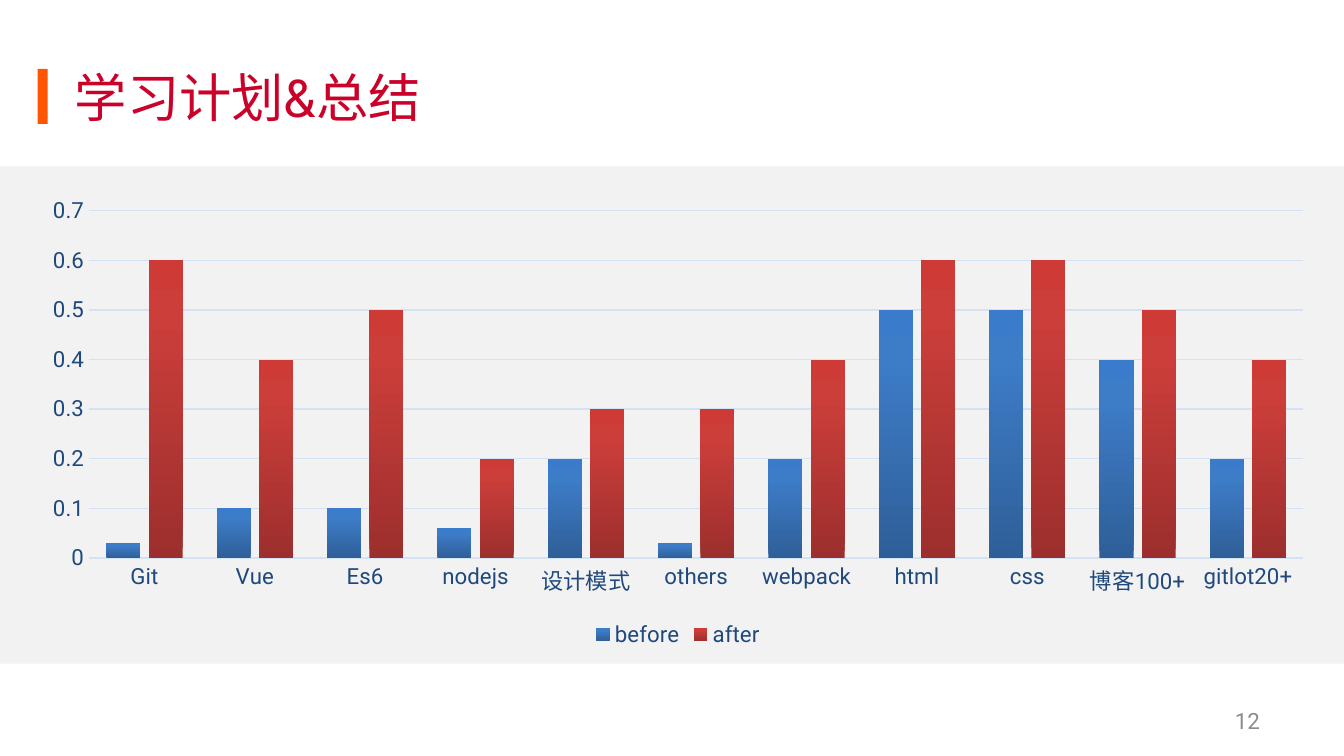
"""Build the study plan and summary slide with its before/after chart."""
from dataclasses import dataclass

from lxml import etree
from pptx import Presentation
from pptx import util as u
from pptx.chart import data as chart_data
from pptx.dml.color import RGBColor
from pptx.enum import chart as charts, shapes, text
from pptx.oxml.ns import qn


@dataclass(frozen=True)
class Theme:
    """Colours, font and type sizes of the slide."""
    font: str = "Roboto"
    band: str = "F2F2F2"
    accent: str = "FF5400"
    title: str = "CA022A"
    number: str = "8C8C8C"
    label: str = "1F497D"
    grid: str = "D4E3F4"
    title_size: float = 28
    number_size: float = 12
    label_size: float = 11.9


@dataclass(frozen=True)
class Area:
    """A rectangle given as percentages of the slide's width and height."""
    left: float
    top: float
    width: float
    height: float

    def frame(self) -> tuple:
        """Return the rectangle in slide lengths."""
        return (int(self.left * WIDTH / 100), int(self.top * HEIGHT / 100),
                int(self.width * WIDTH / 100), int(self.height * HEIGHT / 100))


@dataclass(frozen=True)
class Block:
    """A plain coloured rectangle."""
    area: Area
    color: str


@dataclass(frozen=True)
class Label:
    """A line of text in its own box."""
    area: Area
    words: str
    size: float
    color: str


@dataclass(frozen=True)
class Series:
    """A chart series with the stops of its gradient, bottom to top."""
    name: str
    values: tuple
    stops: tuple


THEME = Theme()
WIDTH = u.Inches(10)
HEIGHT = WIDTH * 9 // 16
STOP_POSITIONS = (0, 80, 100)
BAND = Block(Area(0, 22, 100, 65.8), THEME.band)
ACCENT = Block(Area(2.8, 9.1, 0.75, 7.3), THEME.accent)
LABELS = (
    Label(Area(4.6, 4.4, 90, 16.7), "学习计划&总结", THEME.title_size, THEME.title),
    Label(Area(90.9, 92.7, 23.3, 5.3), "12", THEME.number_size, THEME.number),
)
CHART_AREA = Area(2, 24.9, 96.9, 61.5)
CATEGORIES = ("Git", "Vue", "Es6", "nodejs", "设计模式", "others", "webpack",
              "html", "css", "博客100+", "gitlot20+")
SERIES = (
    Series("before", (0.03, 0.1, 0.1, 0.06, 0.2, 0.03, 0.2, 0.5, 0.5, 0.4, 0.2),
           ("2F5F99", "3D7CC7", "3A7CCB")),
    Series("after", (0.6, 0.4, 0.5, 0.2, 0.3, 0.3, 0.4, 0.6, 0.6, 0.5, 0.4),
           ("9C2F2D", "CB3E3A", "CE3B37")),
)


def assign(target, **values) -> None:
    """Set every named attribute on the target."""
    for name, value in values.items():
        setattr(target, name, value)


def style_font(font, size: float, color: str) -> None:
    """Apply the theme font with a size and colour."""
    assign(font, name=THEME.font, size=u.Pt(size))
    font.color.rgb = RGBColor.from_string(color)


def style_line(line, color: str) -> None:
    """Draw a thin line in one colour."""
    line.width = u.Pt(0.75)
    line.color.rgb = RGBColor.from_string(color)


def draw_block(page, block: Block) -> None:
    """Draw a rectangle without outline or shadow."""
    shape = page.shapes.add_shape(shapes.MSO_SHAPE.RECTANGLE, *block.area.frame())
    shape.shadow.inherit = False
    shape.fill.solid()
    shape.fill.fore_color.rgb = RGBColor.from_string(block.color)
    shape.line.fill.background()


def draw_label(page, label: Label) -> None:
    """Draw a vertically centred line of text."""
    box = page.shapes.add_textbox(*label.area.frame())
    assign(box.text_frame, word_wrap=True, vertical_anchor=text.MSO_ANCHOR.MIDDLE)
    span = box.text_frame.paragraphs[0].add_run()
    span.text = label.words
    style_font(span.font, label.size, label.color)


def fill_gradients(chart) -> None:
    """Fill every series with its upward gradient."""
    for bars in chart.plots[0].series:
        bars.format.fill.gradient()
        bars.format.fill.gradient_angle = 90
    for stop_list, series in zip(list(chart.element.iter(qn("a:gsLst"))), SERIES):
        for stop in list(stop_list):
            stop_list.remove(stop)
        for position, color in zip(STOP_POSITIONS, series.stops):
            stop = etree.SubElement(stop_list, qn("a:gs"), pos=str(position * 1000))
            etree.SubElement(stop, qn("a:srgbClr"), val=color)


def draw_chart(page) -> None:
    """Draw the clustered column chart."""
    table = chart_data.CategoryChartData()
    table.categories = CATEGORIES
    for series in SERIES:
        table.add_series(series.name, series.values)
    chart = page.shapes.add_chart(charts.XL_CHART_TYPE.COLUMN_CLUSTERED,
                                  *CHART_AREA.frame(), table).chart
    assign(chart, has_title=False, has_legend=True)
    assign(chart.legend, position=charts.XL_LEGEND_POSITION.BOTTOM, include_in_layout=False)
    assign(chart.plots[0], gap_width=100, overlap=-24, vary_by_categories=False)
    fill_gradients(chart)
    for axis in (chart.category_axis, chart.value_axis):
        assign(axis, major_tick_mark=charts.XL_TICK_MARK.NONE,
               minor_tick_mark=charts.XL_TICK_MARK.NONE)
        assign(axis.tick_labels, number_format="General", number_format_is_linked=False)
    for part in (chart, chart.legend, chart.category_axis.tick_labels,
                 chart.value_axis.tick_labels):
        style_font(part.font, THEME.label_size, THEME.label)
    assign(chart.value_axis, minimum_scale=0, maximum_scale=0.7, major_unit=0.1,
           has_major_gridlines=True)
    chart.value_axis.format.line.fill.background()
    style_line(chart.value_axis.major_gridlines.format.line, THEME.grid)
    style_line(chart.category_axis.format.line, THEME.grid)


def main() -> None:
    """Assemble and save the deck."""
    deck = Presentation()
    assign(deck, slide_width=WIDTH, slide_height=HEIGHT)
    page = deck.slides.add_slide(deck.slide_layouts[6])
    draw_block(page, BAND)
    for label in LABELS:
        draw_label(page, label)
    draw_chart(page)
    draw_block(page, ACCENT)
    deck.save("out.pptx")


main()
